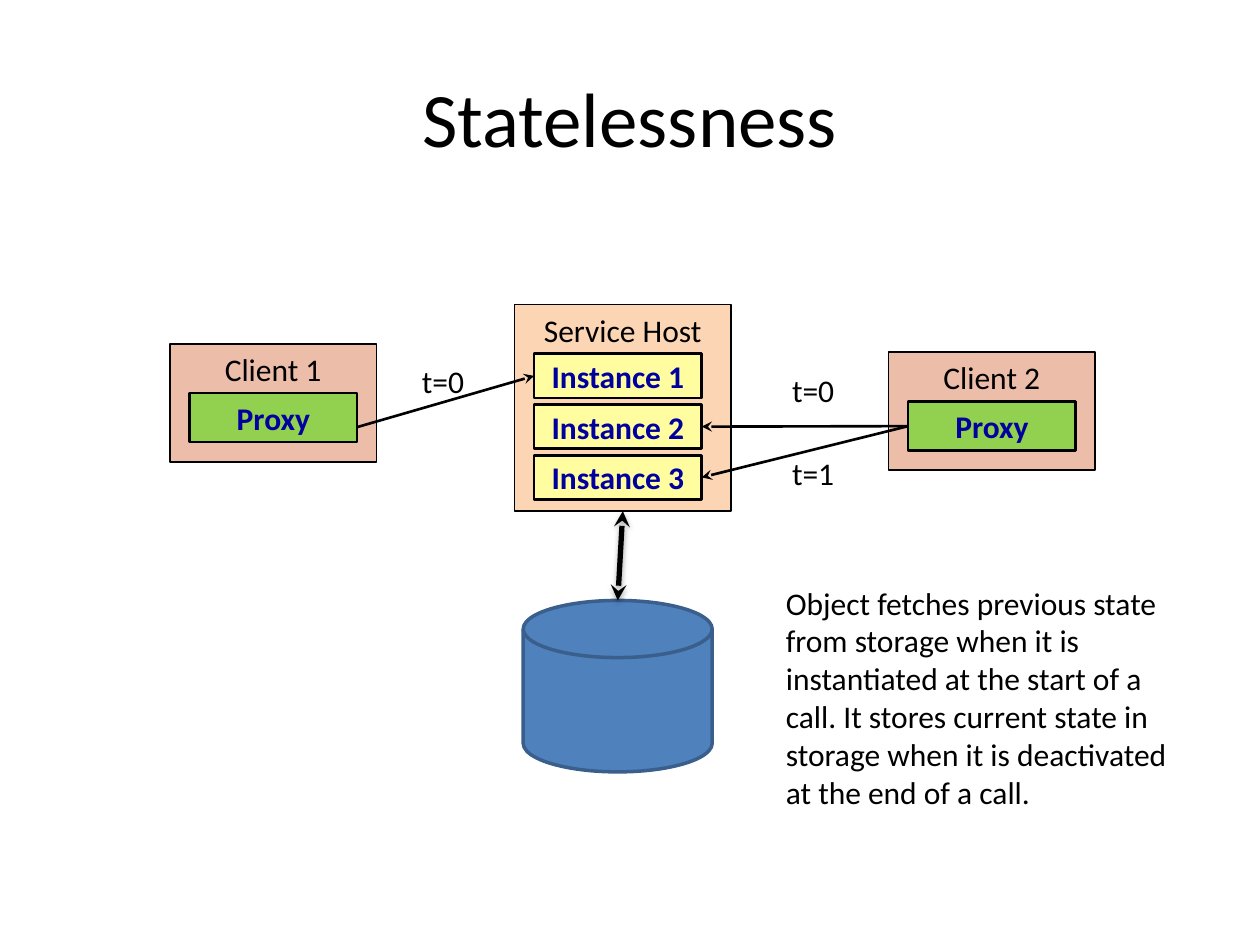
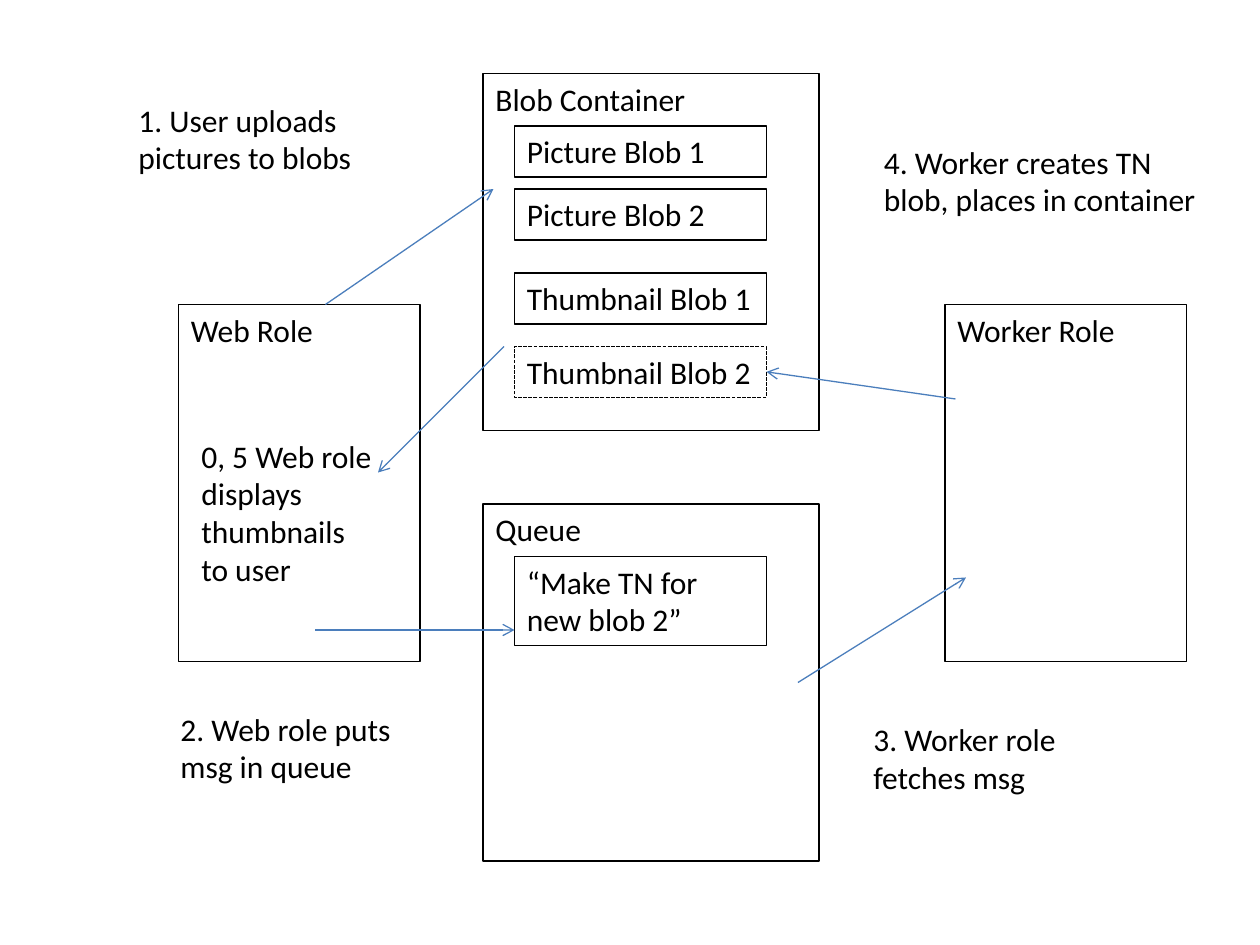
import pptx
import pptx.dml.color
import pptx.enum.dml
import pptx.enum.shapes
import pptx.enum.text
import pptx.oxml
import pptx.oxml.ns
import pptx.util

Pt = pptx.util.Pt
RGBColor = pptx.dml.color.RGBColor
SHAPE = pptx.enum.shapes.MSO_SHAPE
ALIGN = pptx.enum.text.PP_ALIGN
ANCHOR = pptx.enum.text.MSO_ANCHOR
DASH = pptx.enum.dml.MSO_LINE

BLACK = RGBColor(0x00, 0x00, 0x00)
NAVY = RGBColor(0x00, 0x00, 0x9E)
SALMON = RGBColor(0xEC, 0xBE, 0xAA)
GREEN = RGBColor(0x92, 0xD0, 0x50)
PEACH = RGBColor(0xFC, 0xD5, 0xB5)
YELLOW = RGBColor(0xFF, 0xFD, 0x9F)
BLUE = RGBColor(0x4F, 0x81, 0xBD)
DARK_BLUE = RGBColor(0x3A, 0x5F, 0x8C)
ARROW_BLUE = RGBColor(0x4B, 0x7E, 0xBC)

BODY = {"name": "Calibri", "size": Pt(18), "bold": False}
TITLE = {**BODY, "size": Pt(44)}
STRONG = {**BODY, "bold": True}

NAMESPACE = pptx.oxml.ns.nsdecls("a")
SOFT_SHADOW = (
    f'<a:effectLst {NAMESPACE}><a:outerShdw blurRad="{Pt(3.1)}" dist="{Pt(1.8)}" '
    'dir="5400000" rotWithShape="0"><a:srgbClr val="000000"><a:alpha val="35000"/>'
    '</a:srgbClr></a:outerShdw></a:effectLst>'
)
NO_SHADOW = f"<a:effectLst {NAMESPACE}/>"


class Deck:
    """Holds the presentation, its shared style and the slide being drawn."""

    def __init__(self):
        self.presentation = pptx.Presentation()
        self.presentation.slide_width = Pt(720)
        self.presentation.slide_height = Pt(540)
        self.slide = None

    def new_slide(self):
        self.slide = self.presentation.slides.add_slide(self.presentation.slide_layouts[6])

    def fill_text(self, shape, text, style=BODY, color=BLACK, align=ALIGN.LEFT,
                  anchor=ANCHOR.TOP):
        frame = shape.text_frame
        frame.word_wrap = True
        frame.vertical_anchor = anchor
        paragraph = frame.paragraphs[0]
        paragraph.alignment = align
        run = paragraph.add_run()
        run.text = text
        for attribute, value in style.items():
            setattr(run.font, attribute, value)
        run.font.color.rgb = color

    def text(self, left, top, width, height, text, **format_values):
        box = self.slide.shapes.add_textbox(Pt(left), Pt(top), Pt(width), Pt(height))
        self.fill_text(box, text, **format_values)

    def title(self, text):
        self.text(36, 21.6, 648, 90, text, style=TITLE, align=ALIGN.CENTER, anchor=ANCHOR.MIDDLE)

    def shape(self, left, top, width, height, text="", fill=None, line=BLACK,
              weight=0.75, dash=None, kind=SHAPE.RECTANGLE, **format_values):
        shape = self.slide.shapes.add_shape(kind, Pt(left), Pt(top), Pt(width), Pt(height))
        shape.shadow.inherit = False
        if fill is None:
            shape.fill.background()
        else:
            shape.fill.solid()
            shape.fill.fore_color.rgb = fill
        shape.line.color.rgb = line
        shape.line.width = Pt(weight)
        if dash is not None:
            shape.line.dash_style = dash
        if text:
            self.fill_text(shape, text, **format_values)

    def panel(self, left, top, width, height, text, fill):
        self.shape(left, top, width, height, text, fill, weight=1, align=ALIGN.CENTER)

    def component(self, left, top, height, text, fill):
        """Draw a named part inside a panel."""
        self.shape(left, top, 95.8, height, text, fill, weight=1.5, style=STRONG,
                   color=NAVY, align=ALIGN.CENTER, anchor=ANCHOR.MIDDLE)

    def client(self, left, top, name):
        self.panel(left, top, 118.1, 67.5, name, SALMON)
        self.component(left + 11.2, top + 28.1, 28.1, "Proxy", GREEN)

    def arrow(self, start, end, color=ARROW_BLUE, weight=0.75, head="arrow",
              both_ends=False, effect=NO_SHADOW):
        connector = self.slide.shapes.add_connector(
            pptx.enum.shapes.MSO_CONNECTOR.STRAIGHT, *map(Pt, start + end))
        connector.line.color.rgb = color
        connector.line.width = Pt(weight)
        properties = connector.element.spPr
        line = properties.find(pptx.oxml.ns.qn("a:ln"))
        for tag in ("headEnd", "tailEnd") if both_ends else ("tailEnd",):
            line.append(pptx.oxml.parse_xml(f'<a:{tag} {NAMESPACE} type="{head}"/>'))
        properties.append(pptx.oxml.parse_xml(effect))

    def call_arrow(self, start, end, **format_values):
        self.arrow(start, end, **{"color": BLACK, "weight": 1.5, "head": "stealth", **format_values})


def draw_statelessness(deck):
    deck.new_slide()
    deck.title("Statelessness")
    deck.client(97.1, 196.5, "Client 1")
    deck.panel(294, 174, 123.75, 118.1, "Service Host", PEACH)
    for index in range(3):
        deck.component(305.2, 202.1 + 29 * index, 25.3, f"Instance {index + 1}", YELLOW)
    deck.call_arrow((204, 244.1), (305.2, 214.8))
    deck.client(507.75, 201.3, "Client 2")
    proxy_edge = (519, 243.5)
    deck.call_arrow(proxy_edge, (401, 272.8))
    for left, top, time in ((234, 203.2, "t=0"), (445.5, 208.2, "t=0"), (445.5, 255.7, "t=1")):
        deck.text(left, top, 44.6, 21.6, time)
    deck.call_arrow(proxy_edge, (401, 243.8))
    deck.shape(299, 343.1, 108, 98, fill=BLUE, line=DARK_BLUE, weight=2,
               kind=SHAPE.FLOWCHART_MAGNETIC_DISK)
    deck.call_arrow((353, 343.1), (355.9, 292.1), weight=3, both_ends=True, effect=SOFT_SHADOW)
    deck.text(442, 330, 249, 138,
              "Object fetches previous state from storage when it is instantiated at the start "
              "of a call. It stores current state in storage when it is deactivated at the end "
              "of a call.")


def draw_thumbnail_workflow(deck):
    deck.new_slide()
    for left, name in ((102, "Web Role"), (540, "Worker Role")):
        deck.shape(left, 174, 138, 204, name)
    for top, name in ((42, "Blob Container"), (288, "Queue")):
        deck.shape(276, top, 192, 204, name)
    items = (
        (72, 29.1, "Picture Blob 1", None),
        (108, 29.1, "Picture Blob 2", None),
        (156, 29.1, "Thumbnail Blob 1", None),
        (198, 29.1, "Thumbnail Blob 2", DASH.SQUARE_DOT),
        (318, 50.9, "“Make TN for new blob 2”", None),
    )
    for top, height, name, dash in items:
        deck.shape(294, top, 144, height, name, dash=dash)
    steps = (
        (72, 54, 156, 50.9, "1. User uploads pictures to blobs"),
        (96, 402, 138, 50.9, "2. Web role puts msg in queue"),
        (492, 408, 138, 50.9, "3. Worker role fetches msg"),
        (498, 78, 198, 50.9, "4. Worker creates TN blob, places in container"),
        (108, 246, 114, 94.5, "0, 5 Web role displays thumbnails to user"),
    )
    for step in steps:
        deck.text(*step)
    arrows = (
        ((186, 174), (282, 108)),
        ((180, 360), (294, 360)),
        ((456, 390), (552, 330)),
        ((546, 228), (438, 212.5)),
        ((288, 198), (216, 270)),
    )
    for start, end in arrows:
        deck.arrow(start, end)


def main():
    deck = Deck()
    draw_statelessness(deck)
    draw_thumbnail_workflow(deck)
    deck.presentation.save("out.pptx")


if __name__ == "__main__":
    main()
